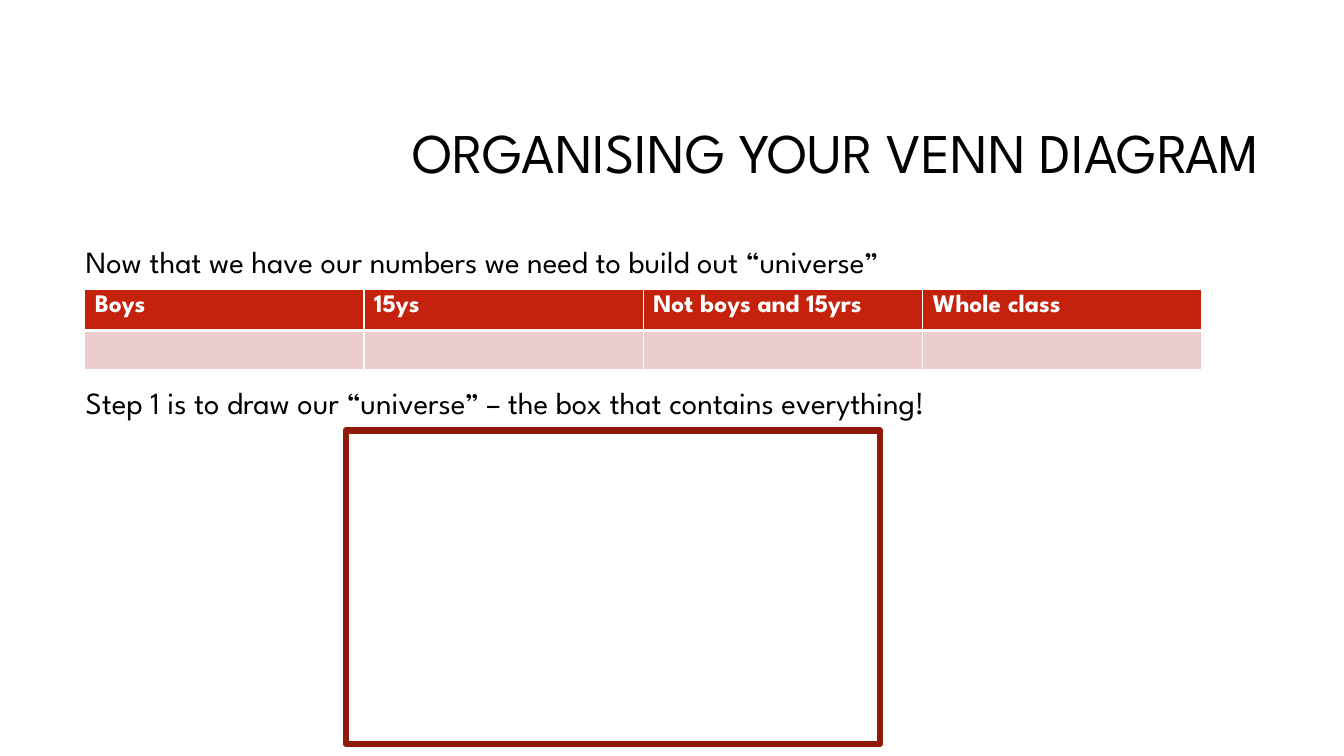
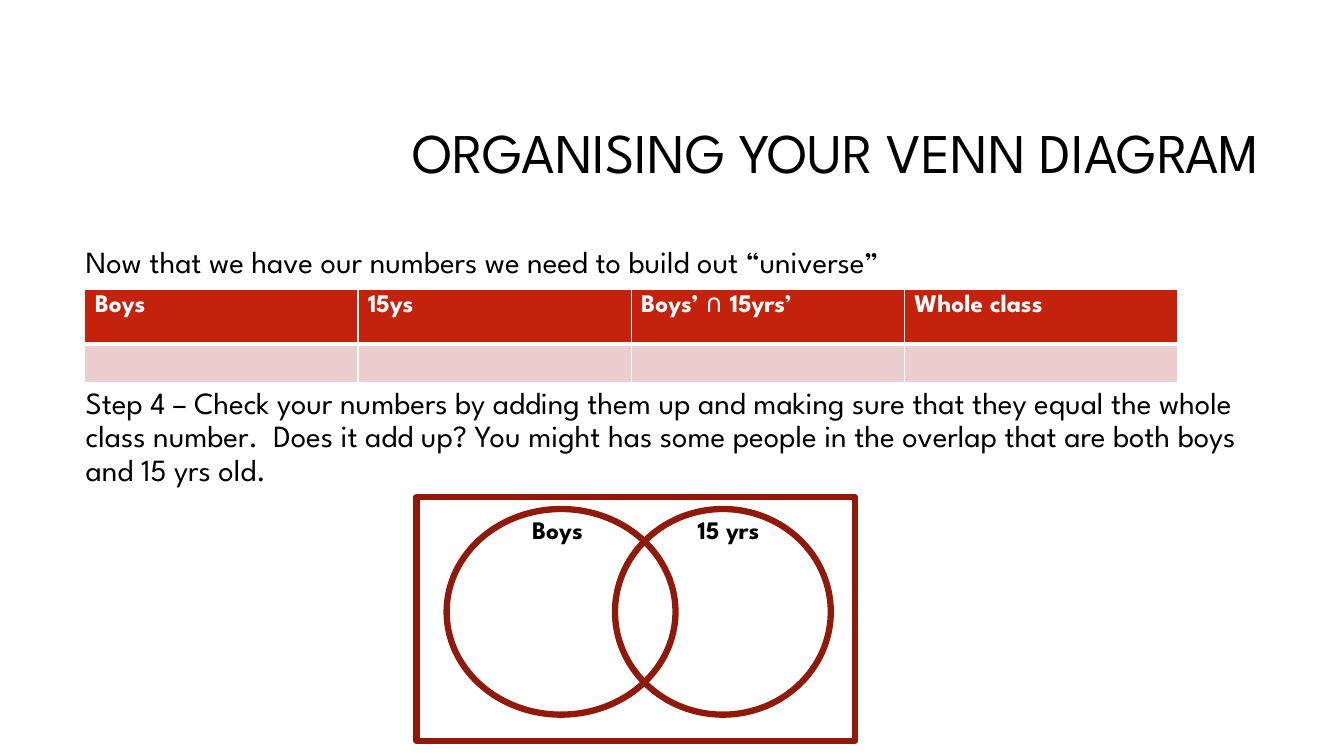
import pptx
import pptx.util
import pptx.dml.color
import pptx.enum.shapes
import pptx.enum.text
import pptx.oxml
import pptx.oxml.ns
from pptx.util import Inches, Pt

# Shared style
FONT = "League Spartan"
BLACK, WHITE = "000000", "FFFFFF"
HEADER_RED, ROW_PINK, OUTLINE_RED = "C4220D", "EACDCC", "91190A"
TITLE_AT = (3.17, 0.84, 9.42, 1.41)
BODY_AT = (0.75, 2.4, 11.83, 4.4)
TABLE_LEFT, TABLE_TOP, ROW_HEIGHT = 0.84, 2.87, 0.39
TABLE_GAP = 77  # points between the two body paragraphs, where the table sits

# Content
TITLE = "ORGANISING YOUR VENN DIAGRAM"
INTRO = "Now that we have our numbers we need to build out “universe”"
SLIDES = [
    {
        "step": "Step 1 is to draw our “universe” – the box that contains everything!",
        "headers": [["Boys"], ["15ys"], ["Not boys and 15yrs"], ["Whole class"]],
        "column_width": 2.77,
        "header_height": 0.41,
        "universe": (3.43, 4.27, 5.3, 3.11),
        "sets": [],
        "labels": [],
    },
    {
        "step": "Step 4 – Check your numbers by adding them up and making sure that "
                "they equal the whole class number.  Does it add up? You might has some "
                "people in the overlap that are both boys and 15 yrs old.",
        "headers": [["Boys"], ["15ys"], ["Boys’ ", "∩", " 15yrs’"], ["Whole class"]],
        "column_width": 2.71,
        "header_height": 0.54,
        "universe": (4.13, 4.93, 4.35, 2.42),
        "sets": [(4.43, 5.05, 2.27, 2.04), (6.1, 5.05, 2.14, 2.04)],
        "labels": [("Boys", (5.18, 5.05, 0.77, 0.4)), ("15 yrs", (6.82, 5.05, 1.05, 0.4))],
    },
]


def colour(hex_text):
    return pptx.dml.color.RGBColor.from_string(hex_text)


def inches(lengths):
    return [Inches(length) for length in lengths]


def style(para, size, hex_text, bold=False):
    para.font.name = FONT
    para.font.size = Pt(size)
    para.font.bold = bold
    para.font.color.rgb = colour(hex_text)


def fill_placeholder(holder, place, lines, size, align, anchor):
    """Move a placeholder and write (text, space before) lines without bullets."""
    holder.left, holder.top, holder.width, holder.height = inches(place)
    frame = holder.text_frame
    frame.text = "\n".join(text for text, _ in lines)
    frame.auto_size = pptx.enum.text.MSO_AUTO_SIZE.NONE
    frame.vertical_anchor = anchor
    for para, (_, space) in zip(frame.paragraphs, lines):
        para.alignment = align
        para.line_spacing = 0.9
        para.space_before = Pt(space)
        properties = para._p.get_or_add_pPr()
        properties.set("marL", "0")
        properties.set("indent", "0")
        pptx.oxml.ns.qn("a:buNone")
        properties.append(pptx.oxml.parse_xml(
            f'<a:buNone {pptx.oxml.ns.nsdecls("a")}/>'))
        style(para, size, BLACK)


def set_borders(cell, **widths):
    properties = cell._tc.get_or_add_tcPr()
    for side in "LRTB":
        properties.append(pptx.oxml.parse_xml(
            f'<a:ln{side} {pptx.oxml.ns.nsdecls("a")} w="{Pt(widths.get(side, 1))}">'
            f'<a:solidFill><a:srgbClr val="{WHITE}"/></a:solidFill></a:ln{side}>'))


def add_counts_table(page, headers, column_width, header_height):
    heights = [header_height, ROW_HEIGHT]
    place = (TABLE_LEFT, TABLE_TOP, column_width * len(headers), sum(heights))
    table = page.shapes.add_table(len(heights), len(headers), *inches(place)).table
    for row, height in zip(table.rows, heights):
        row.height = Inches(height)
    for index, parts in enumerate(headers):
        table.columns[index].width = Inches(column_width)
        header, count = table.cell(0, index), table.cell(1, index)
        set_borders(header, B=3)
        set_borders(count, T=3)
        for cell, hex_text in ((header, HEADER_RED), (count, ROW_PINK)):
            cell.fill.solid()
            cell.fill.fore_color.rgb = colour(hex_text)
            style(cell.text_frame.paragraphs[0], 18, WHITE, bold=cell is header)
        for part in parts:
            span = header.text_frame.paragraphs[0].add_run()
            span.text = part
            if part == "∩":
                span.font.bold = False


def add_outline(page, kind, place):
    shape = page.shapes.add_shape(kind, *inches(place))
    shape.shadow.inherit = False
    shape.fill.background()
    shape.line.color.rgb = colour(OUTLINE_RED)
    shape.line.width = Pt(4.5)


def add_label(page, text, place):
    box = page.shapes.add_textbox(*inches(place))
    box.text_frame.word_wrap = True
    box.text_frame.text = text
    style(box.text_frame.paragraphs[0], 18, BLACK, bold=True)


def build_slide(deck, content):
    page = deck.slides.add_slide(deck.slide_layouts[1])
    align, anchor = pptx.enum.text.PP_ALIGN, pptx.enum.text.MSO_ANCHOR
    kinds = pptx.enum.shapes.MSO_SHAPE

    # Title and body text
    fill_placeholder(page.shapes.title, TITLE_AT, [(TITLE, 0)], 40,
                     align.RIGHT, anchor.MIDDLE)
    fill_placeholder(page.placeholders[1], BODY_AT,
                     [(INTRO, 0), (content["step"], TABLE_GAP)], 22,
                     align.LEFT, anchor.TOP)

    # Table of counts
    add_counts_table(page, content["headers"], content["column_width"],
                     content["header_height"])

    # Venn diagram
    add_outline(page, kinds.RECTANGLE, content["universe"])
    for place in content["sets"]:
        add_outline(page, kinds.OVAL, place)
    for text, place in content["labels"]:
        add_label(page, text, place)


def main():
    deck = pptx.Presentation()
    deck.slide_width, deck.slide_height = Inches(13.33), Inches(7.5)
    for content in SLIDES:
        build_slide(deck, content)
    deck.save("out.pptx")


if __name__ == "__main__":
    main()
